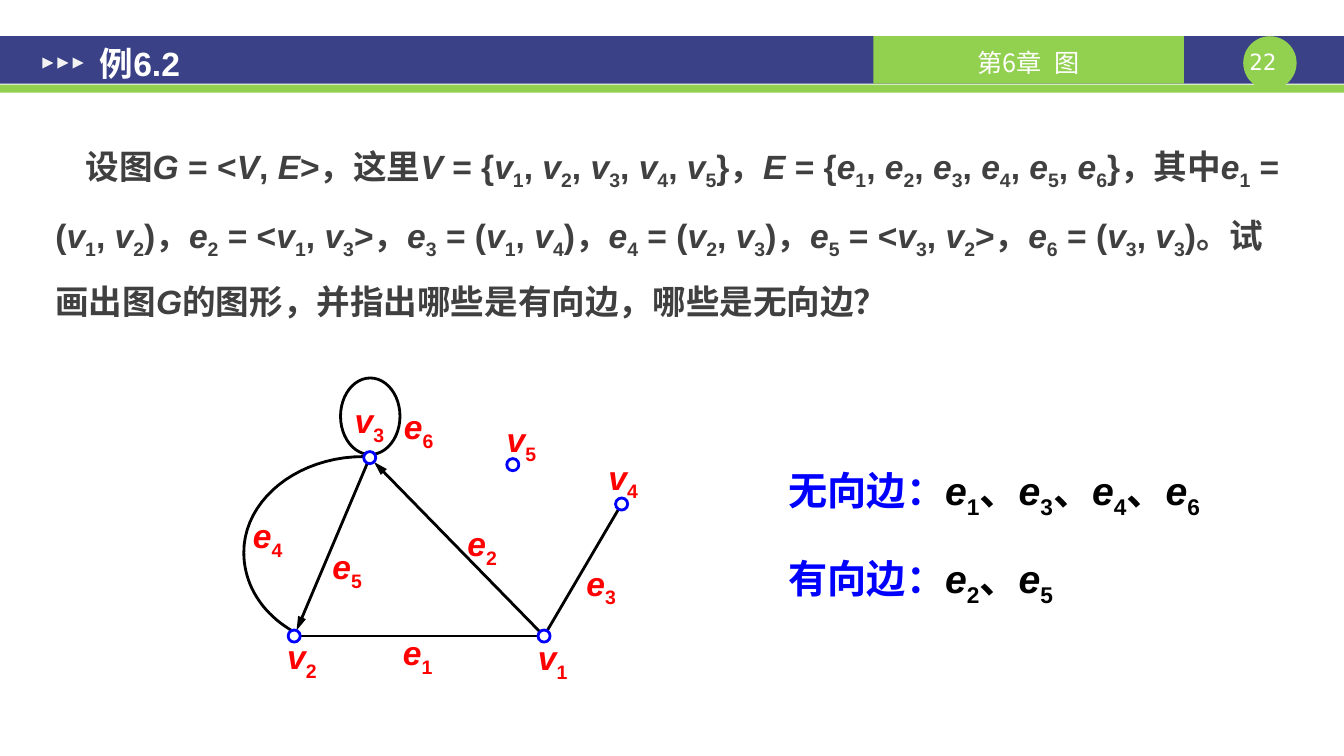
from itertools import groupby
from math import hypot
from pptx import Presentation
from pptx.dml.color import RGBColor
from pptx.enum.shapes import MSO_CONNECTOR, MSO_SHAPE
from pptx.enum.text import MSO_ANCHOR, PP_ALIGN
from pptx.oxml.ns import qn
from pptx.util import Inches, Pt

RECTANGLE, OVAL, TRIANGLE = MSO_SHAPE.RECTANGLE, MSO_SHAPE.OVAL, MSO_SHAPE.ISOSCELES_TRIANGLE
LEFT, CENTER, JUSTIFY = PP_ALIGN.LEFT, PP_ALIGN.CENTER, PP_ALIGN.JUSTIFY
TOP, MIDDLE = MSO_ANCHOR.TOP, MSO_ANCHOR.MIDDLE
STRAIGHT = MSO_CONNECTOR.STRAIGHT

# Content
TITLE, CHAPTER, PAGE_NUMBER = "例6.2", "第6章\u2002图", "22"
PROBLEM = (
    "设图G = <V, E>，这里V = {v1, v2, v3, v4, v5}，E = {e1, e2, e3, e4, e5, e6}，其中"
    "e1 = (v1, v2)，e2 = <v1, v3>，e3 = (v1, v4)，e4 = (v2, v3)，e5 = <v3, v2>，"
    "e6 = (v3, v3)。试画出图G的图形，并指出哪些是有向边，哪些是无向边？"
)
ANSWERS = [("无向边：", "e1、e3、e4、e6"), ("有向边：", "e2、e5")]
VERTICES = {"v1": (5.4, 6.31), "v2": (2.92, 6.31), "v3": (3.67, 4.54),
            "v4": (6.17, 5.0), "v5": (5.09, 4.61)}
# Straight edges: start, end, directed
EDGES = [("v1", "v2", False), ("v1", "v4", False), ("v1", "v3", True), ("v3", "v2", True)]
ARC_E4 = [((3.61, 4.53), (2.95, 4.53), (2.42, 4.96), (2.42, 5.48)),
          ((2.42, 5.48), (2.42, 5.8), (2.6, 6.09), (2.92, 6.27))]
LABELS = {"v1": (5.34, 6.32), "v2": (2.85, 6.31), "v3": (3.52, 3.97), "v4": (6.04, 4.53),
          "v5": (5.03, 4.16), "e1": (4, 6.27), "e2": (4.64, 5.19), "e3": (5.82, 5.58),
          "e4": (2.51, 5.11), "e5": (3.3, 5.42), "e6": (4.01, 4.03)}
NAVY, GREEN, WHITE, BLACK, BLUE, RED = "3A4187", "92D050", "FFFFFF", "000000", "0000FF", "FF0000"
RADIUS = 0.06

deck = Presentation()
deck.slide_width, deck.slide_height = Inches(13.34), Inches(7.5)
page = deck.slides.add_slide(deck.slide_layouts[6])


def color(value):
    return RGBColor.from_string(value)


def style(shape, fill=None, line=None):
    shape.shadow.inherit = False
    if fill:
        shape.fill.solid()
        shape.fill.fore_color.rgb = color(fill)
    else:
        shape.fill.background()
    if line:
        shape.line.color.rgb = color(line)
        shape.line.width = Pt(2)
    else:
        shape.line.fill.background()


def add_shape(kind, left, top, width, height, fill=None, line=None):
    shape = page.shapes.add_shape(kind, *map(Inches, (left, top, width, height)))
    style(shape, fill, line)
    return shape


def symbol_kind(character):
    if character in "GVEve":
        return "italic"
    return "subscript" if character.isdigit() else "plain"


def add_text(para, text, size=24, fill=BLACK, font="Arial", bold=True, symbols=False):
    """Add runs; with symbols, letters turn italic and digits subscript."""
    for kind, characters in groupby(text, symbol_kind if symbols else lambda _: "plain"):
        span = para.add_run()
        span.text = "".join(characters)
        span.font.size, span.font.name, span.font.bold = Pt(size), font, bold
        span.font.color.rgb = color(fill)
        span.font.italic = kind == "italic"
        if kind == "subscript":
            span.font._element.set("baseline", "-25000")


def add_box(left, top, width, height, margins=(0, 0), anchor=TOP):
    box = page.shapes.add_textbox(*map(Inches, (left, top, width, height)))
    frame = box.text_frame
    frame.word_wrap, frame.vertical_anchor = True, anchor
    frame.margin_left = frame.margin_right = Inches(margins[0])
    frame.margin_top = frame.margin_bottom = Inches(margins[1])
    return frame


def space_out(para, align, before):
    para.alignment, para.line_spacing, para.space_before = align, 1.5, Pt(before)


def add_edge(start, end, directed):
    (x1, y1), (x2, y2) = VERTICES[start], VERTICES[end]
    length = hypot(x2 - x1, y2 - y1)
    dx, dy = RADIUS * (x2 - x1) / length, RADIUS * (y2 - y1) / length
    edge = page.shapes.add_connector(
        STRAIGHT, *map(Inches, (x1 + dx, y1 + dy, x2 - dx, y2 - dy)))
    edge.line.color.rgb, edge.line.width = color(BLACK), Pt(2)
    properties = edge._element.spPr
    properties.append(properties.makeelement(qn("a:effectLst"), {}))
    if directed:
        line = edge.line._get_or_add_ln()
        line.append(line.makeelement(
            qn("a:tailEnd"), {"type": "triangle", "w": "med", "len": "lg"}))


def bezier(points, t):
    weights = ((1 - t) ** 3, 3 * t * (1 - t) ** 2, 3 * t * t * (1 - t), t ** 3)
    return tuple(Inches(sum(w * p[axis] for w, p in zip(weights, points))) for axis in (0, 1))


# Header band
add_shape(RECTANGLE, 0, 0.36, 13.34, 0.47, NAVY)
add_shape(RECTANGLE, 0, 0.84, 13.34, 0.08, GREEN)
add_shape(OVAL, 12.34, 0.36, 0.53, 0.53, GREEN)
number = add_box(12.27, 0.48, 0.53, 0.27).paragraphs[0]
number.alignment = CENTER
add_text(number, PAGE_NUMBER, size=16, fill=WHITE, font="DejaVu Sans Mono", bold=False)
chapter = add_shape(RECTANGLE, 8.67, 0.36, 3.08, 0.47, GREEN).text_frame
chapter.margin_top, chapter.margin_bottom = Inches(0.04), 0
chapter.vertical_anchor, chapter.paragraphs[0].alignment = MIDDLE, CENTER
add_text(chapter.paragraphs[0], CHAPTER, size=18, fill=WHITE, font="Noto Sans CJK SC", bold=False)
for index in range(3):
    add_shape(TRIANGLE, 0.42 + 0.15 * index, 0.57, 0.11, 0.11, "F2F2F2").rotation = 90
title = add_box(0.86, 0.12, 7.8, 1.01, (0.13, 0.07), MIDDLE)
add_text(title.paragraphs[0], TITLE, fill=WHITE)

# Problem statement
problem = add_box(0.42, 1.15, 12.5, 2.85, (0.13, 0.07)).paragraphs[0]
space_out(problem, LEFT, 4.8)
problem._p.get_or_add_pPr().set("indent", str(Inches(0.3)))
add_text(problem, PROBLEM, fill="404040", symbols=True)

# Graph edges: straight lines, the arc e4 and the loop e6
for edge_ends in EDGES:
    add_edge(*edge_ends)
arc_points = [bezier(part, step / 20) for part in ARC_E4 for step in range(21)]
outline = page.shapes.build_freeform(*arc_points[0])
outline.add_line_segments(arc_points[1:], close=False)
style(outline.convert_to_shape(), line=BLACK)
add_shape(OVAL, 3.38, 3.75, 0.59, 0.76, line=BLACK)

# Graph vertices and labels
for x, y in VERTICES.values():
    add_shape(OVAL, x - RADIUS, y - RADIUS, 2 * RADIUS, 2 * RADIUS, WHITE, BLUE)
for name, (left, top) in LABELS.items():
    add_text(add_box(left, top, 0.47, 0.4).paragraphs[0], name, fill=RED, symbols=True)

# Answers
answers = add_box(7.73, 4.31, 4.52, 1.53, (0.1, 0.05))
for index, (heading, edges) in enumerate(ANSWERS):
    para = answers.add_paragraph() if index else answers.paragraphs[0]
    space_out(para, JUSTIFY, 5.6)
    add_text(para, heading, size=28, fill=BLUE)
    add_text(para, edges, size=28, symbols=True)

deck.save("out.pptx")
